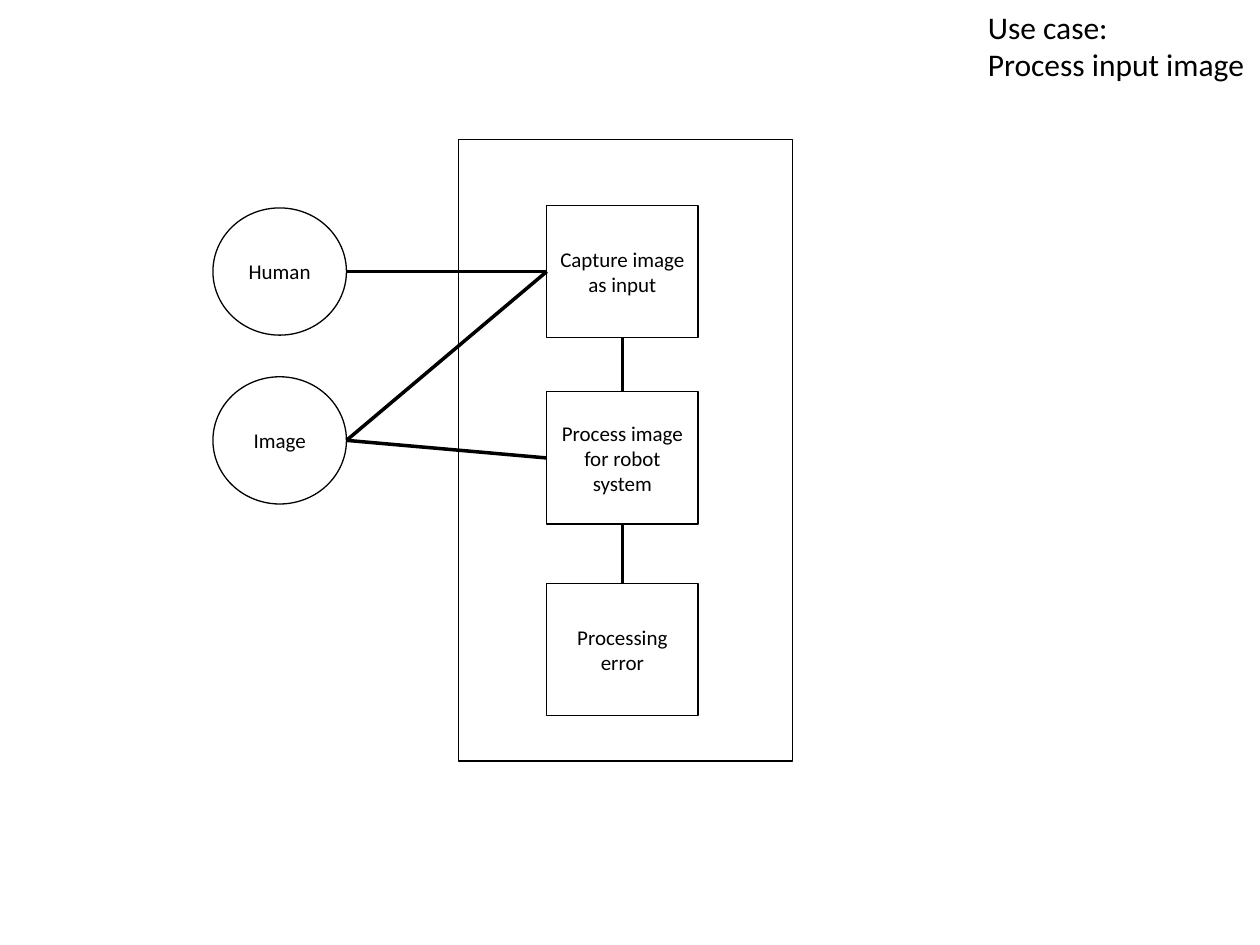
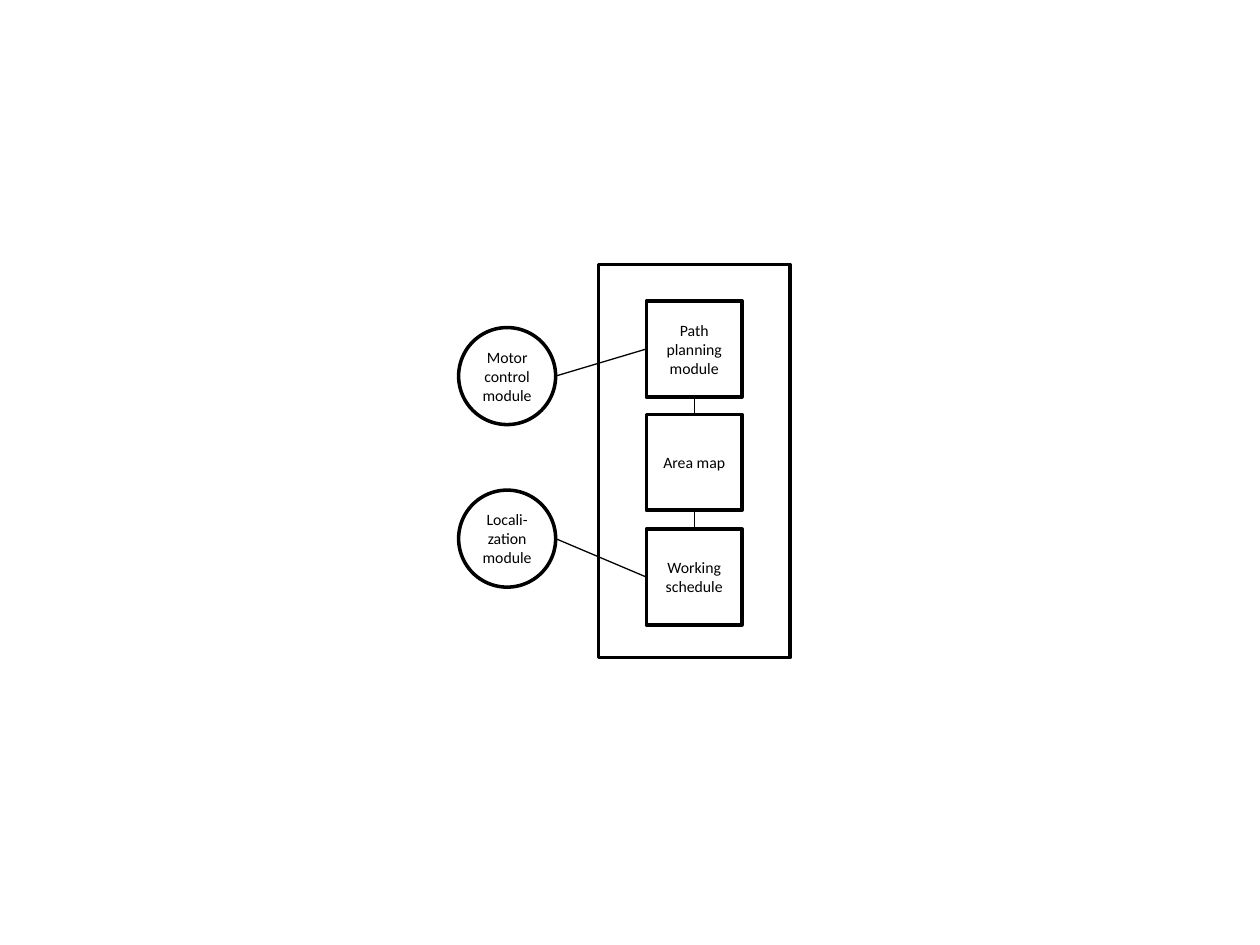
from lxml import etree
from pptx import Presentation
from pptx.dml.color import RGBColor
from pptx.enum.shapes import MSO_CONNECTOR as CONNECTOR, MSO_SHAPE as SHAPE
from pptx.enum.text import MSO_ANCHOR as ANCHOR, MSO_AUTO_SIZE as AUTO_SIZE, PP_ALIGN as ALIGN
from pptx.oxml.ns import qn
from pptx.util import Inches, Pt

COLORS = {"ink": "000000", "paper": "FFFFFF"}
FONT = "Calibri"
TITLE_SIZE = 18
TITLE_AREA = (7.74, 0.01, 2.26, 0.71)

# Content: actors and steps are (text, top); links join an actor to a step
DIAGRAMS = [
    {
        "title": ["Use case:", "Process input image"],
        "frame": (3.64, 1.11, 2.65, 4.93),
        "actors": [("Human", 1.65), ("Image", 2.99)],
        "actor_left": 1.69, "actor_size": (1.06, 1.01),
        "steps": [("Capture image as input", 1.63),
                  ("Process image for robot system", 3.11),
                  ("Processing error", 4.63)],
        "step_left": 4.34, "step_size": (1.2, 1.05),
        "links": [(0, 0), (1, 0), (1, 1)],
        "outline": 0.75, "link_width": 2, "fill": None,
        "text_size": 12, "margins": (0.1, 0.05),
    },
    {
        "title": None,
        "frame": (4.75, 2.1, 1.52, 3.12),
        "actors": [("Motor control module", 2.6), ("Locali-zation module", 3.89)],
        "actor_left": 3.64, "actor_size": (0.77, 0.77),
        "steps": [("Path planning module", 2.39),
                  ("Area map", 3.29),
                  ("Working schedule", 4.2)],
        "step_left": 5.13, "step_size": (0.76, 0.76),
        "links": [(0, 0), (1, 2)],
        "outline": 2, "link_width": 0.75, "fill": "paper",
        "text_size": 9, "margins": (0.07, 0.04),
    },
]


def color(name):
    return RGBColor.from_string(COLORS[name])


def format_text(paragraphs, size, align):
    for paragraph in paragraphs:
        paragraph.alignment = align
        for run in paragraph.runs:
            run.font.name = FONT
            run.font.size = Pt(size)
            run.font.color.rgb = color("ink")


def set_line(line, width):
    line.color.rgb = color("ink")
    line.width = Pt(width)


def add_title(slide, lines):
    title = slide.shapes.title
    title.left, title.top, title.width, title.height = map(Inches, TITLE_AREA)
    frame = title.text_frame
    frame.text = "\n".join(lines)
    frame.word_wrap = False
    frame.auto_size = AUTO_SIZE.SHAPE_TO_FIT_TEXT
    frame.vertical_anchor = ANCHOR.TOP
    format_text(frame.paragraphs, TITLE_SIZE, ALIGN.LEFT)


def add_outline(slide, kind, area, width, fill=None):
    shape = slide.shapes.add_shape(kind, *map(Inches, area))
    shape.shadow.inherit = False
    if fill:
        shape.fill.solid()
        shape.fill.fore_color.rgb = color(fill)
    else:
        shape.fill.background()
    set_line(shape.line, width)
    return shape


def add_node(slide, kind, text, area, diagram):
    node = add_outline(slide, kind, area, diagram["outline"], diagram["fill"])
    frame = node.text_frame
    side, edge = map(Inches, diagram["margins"])
    frame.margin_left = frame.margin_right = side
    frame.margin_top = frame.margin_bottom = edge
    frame.word_wrap = True
    frame.vertical_anchor = ANCHOR.MIDDLE
    frame.text = text
    format_text(frame.paragraphs, diagram["text_size"], ALIGN.CENTER)
    return node


def add_column(slide, kind, part, diagram):
    left, size = diagram[part + "_left"], diagram[part + "_size"]
    return [add_node(slide, kind, text, (left, top, *size), diagram)
            for text, top in diagram[part + "s"]]


def add_link(slide, start, end, width):
    link = slide.shapes.add_connector(CONNECTOR.STRAIGHT, *start, *end)
    set_line(link.line, width)
    etree.SubElement(link._element.spPr, qn("a:effectLst"))
    return link


def middle(node):
    return node.top + node.height // 2


def center(node):
    return node.left + node.width // 2


def add_diagram(slide, diagram):
    add_outline(slide, SHAPE.RECTANGLE, diagram["frame"], diagram["outline"])
    actors = add_column(slide, SHAPE.OVAL, "actor", diagram)
    steps = add_column(slide, SHAPE.RECTANGLE, "step", diagram)

    # Actor to step: right side to left side
    for actor_index, step_index in diagram["links"]:
        actor, step = actors[actor_index], steps[step_index]
        link = add_link(slide, (actor.left + actor.width, middle(actor)),
                        (step.left, middle(step)), diagram["link_width"])
        link.end_connect(step, 1)

    # Step to next step: bottom to top
    for upper, lower in zip(steps, steps[1:]):
        link = add_link(slide, (center(upper), upper.top + upper.height),
                        (center(lower), lower.top), diagram["link_width"])
        link.begin_connect(upper, 2)
        link.end_connect(lower, 0)


prs = Presentation()
prs.slide_width, prs.slide_height = Inches(10), Inches(7.5)
TITLE_ONLY, BLANK = prs.slide_layouts[5], prs.slide_layouts[6]

for diagram in DIAGRAMS:
    slide = prs.slides.add_slide(TITLE_ONLY if diagram["title"] else BLANK)
    slide.background.fill.solid()
    slide.background.fill.fore_color.rgb = color("paper")
    if diagram["title"]:
        add_title(slide, diagram["title"])
    add_diagram(slide, diagram)

prs.save("out.pptx")
